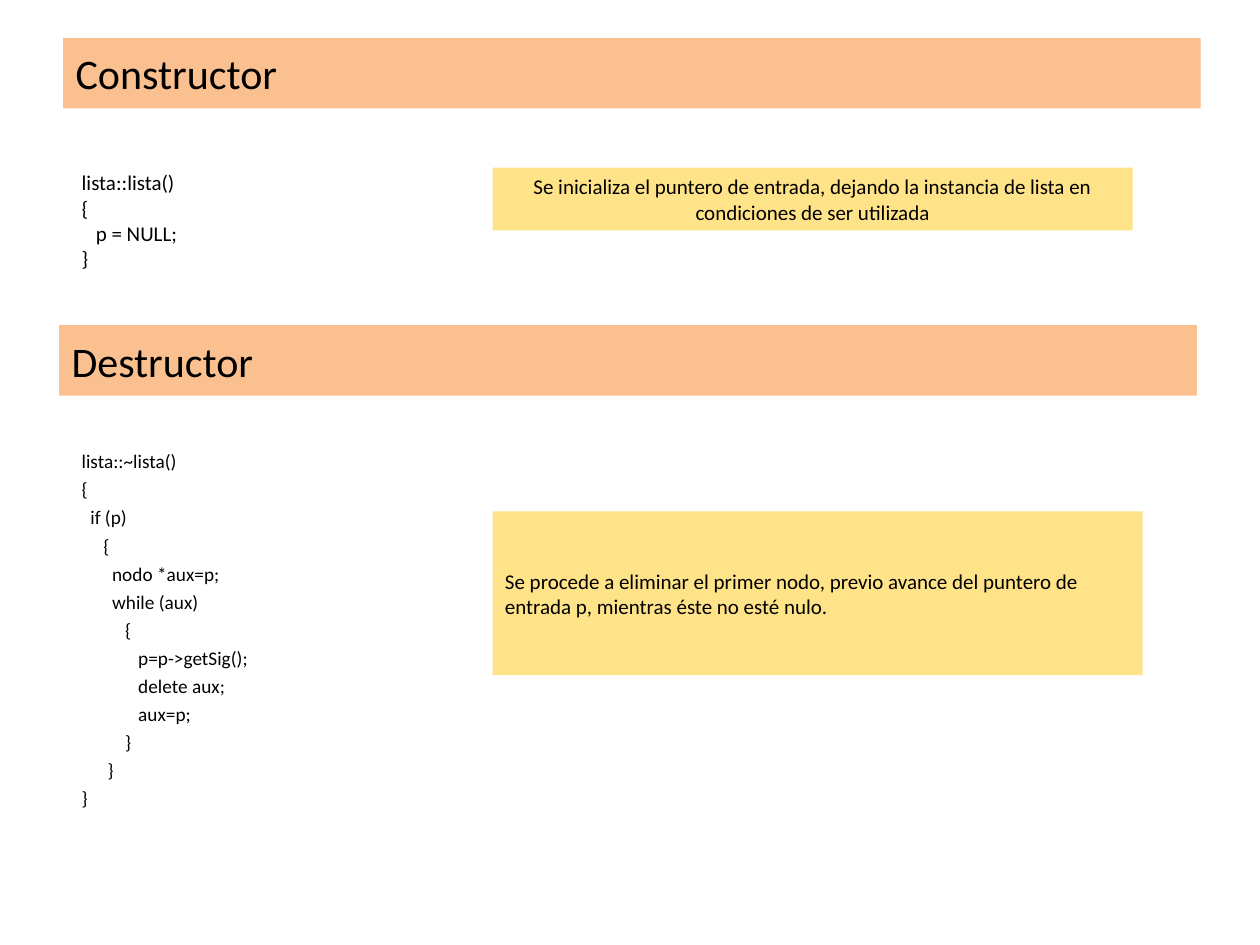
from pptx import Presentation
from pptx.dml.color import RGBColor
from pptx.enum.shapes import MSO_SHAPE
from pptx.enum.text import MSO_ANCHOR, PP_ALIGN
from pptx.util import Inches, Pt

INK, BANNER, NOTE = "000000", "FAC090", "FFE389"

CONSTRUCTOR_CODE = """lista::lista()
{
   p = NULL;
}"""

DESTRUCTOR_CODE = """lista::~lista()
{
  if (p)
     {
       nodo *aux=p;
       while (aux)
          {
             p=p->getSig();
             delete aux;
             aux=p;
          }
      }
}"""


def rgb(value):
    """Turn a hex string into a colour."""
    return RGBColor.from_string(value)


def place(shape, box):
    """Move a shape to a box of left, top, width and height in inches."""
    shape.left, shape.top, shape.width, shape.height = map(Inches, box)


def paint(shape, color):
    """Give a shape a flat fill and no outline."""
    shape.fill.solid()
    shape.fill.fore_color.rgb = rgb(color)
    shape.line.fill.background()


def write(shape, lines, size, align=PP_ALIGN.LEFT, anchor=MSO_ANCHOR.TOP, gap=0):
    """Fill a shape with one paragraph per line."""
    frame = shape.text_frame
    frame.word_wrap = True
    frame.vertical_anchor = anchor
    frame.margin_left = frame.margin_right = Inches(0.1)
    frame.margin_top = frame.margin_bottom = Inches(0.05)
    for index, line in enumerate(lines):
        paragraph = frame.add_paragraph() if index else frame.paragraphs[0]
        paragraph.alignment = align
        paragraph.space_before = Pt(gap if index else 0)
        run = paragraph.add_run()
        run.text = line
        run.font.name = "Calibri"
        run.font.size = Pt(size)
        run.font.color.rgb = rgb(INK)


def add_panel(slide, box):
    """Add a plain rectangle without shadow."""
    panel = slide.shapes.add_shape(MSO_SHAPE.RECTANGLE, *map(Inches, box))
    panel.shadow.inherit = False
    return panel


def fill_banner(banner, box, heading):
    """Place and format a section heading band."""
    place(banner, box)
    paint(banner, BANNER)
    write(banner, [heading], 24, anchor=MSO_ANCHOR.MIDDLE)


def add_code(slide, box, code, size, gap=0):
    """Add a code listing."""
    listing = slide.shapes.add_textbox(*map(Inches, box))
    write(listing, code.split("\n"), size, gap=gap)


def add_note(slide, box, comment, align):
    """Add a yellow comment beside a listing."""
    note = add_panel(slide, box)
    paint(note, NOTE)
    write(note, [comment], 12, align, MSO_ANCHOR.MIDDLE)


def main():
    """Build and save the slide."""
    deck = Presentation()
    deck.slide_width, deck.slide_height = Inches(10), Inches(7.5)
    slide = deck.slides.add_slide(deck.slide_layouts[5])

    fill_banner(slide.shapes.title, (0.5, 0.3, 9.03, 0.56), "Constructor")
    add_code(slide, (0.55, 1.3, 2.5, 0.9), CONSTRUCTOR_CODE, 12)
    add_note(slide, (3.91, 1.33, 5.08, 0.5),
             "Se inicializa el puntero de entrada, dejando la instancia de lista "
             "en condiciones de ser utilizada", PP_ALIGN.CENTER)

    destructor_box = (0.47, 2.58, 9.03, 0.56)
    fill_banner(add_panel(slide, destructor_box), destructor_box, "Destructor")
    add_code(slide, (0.55, 3.52, 2.73, 2.97), DESTRUCTOR_CODE, 11, gap=2.8)
    add_note(slide, (3.91, 4.06, 5.16, 1.3),
             "Se procede a eliminar el primer nodo, previo avance del puntero de "
             "entrada p, mientras éste no esté nulo.", PP_ALIGN.LEFT)

    deck.save("out.pptx")


if __name__ == "__main__":
    main()
